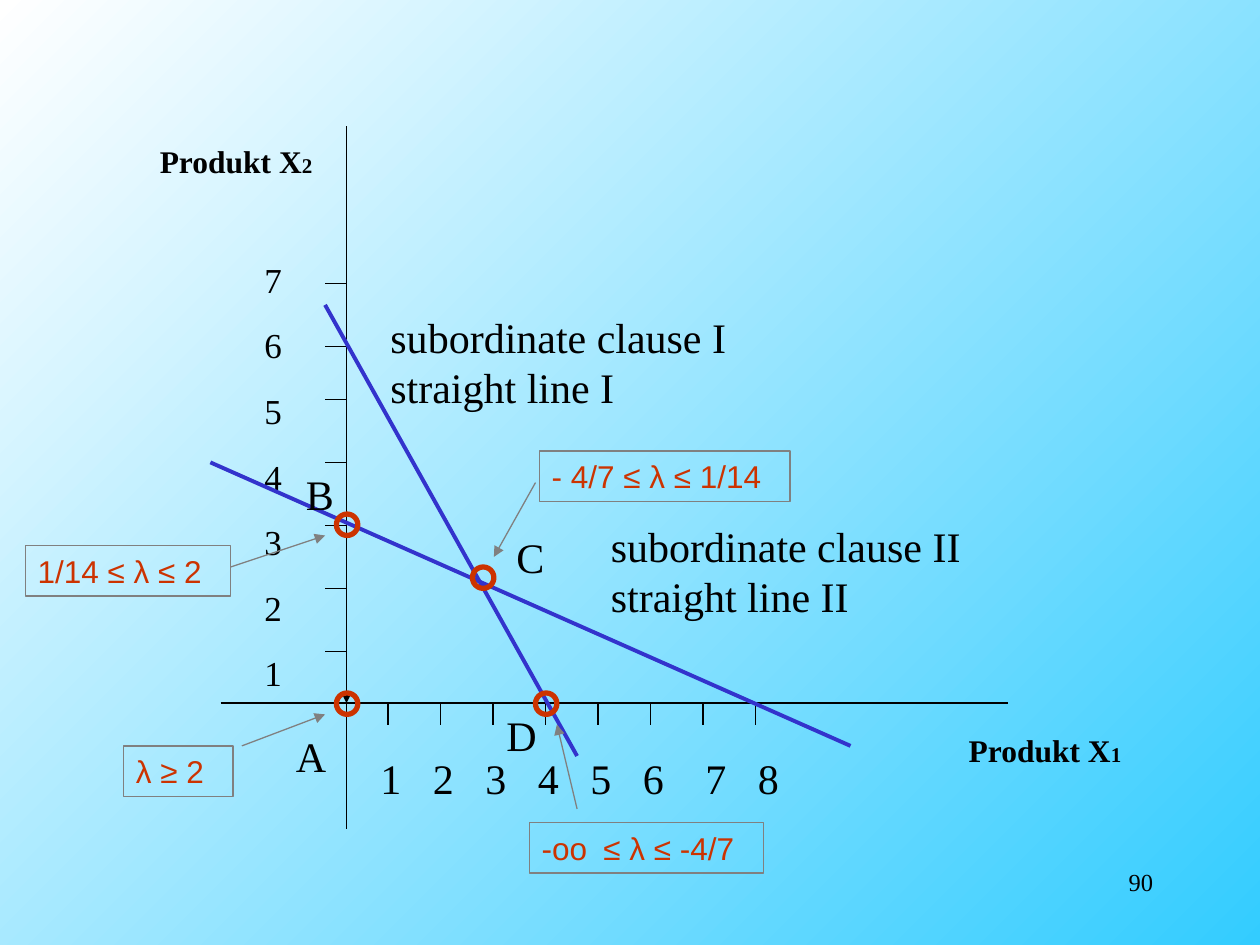
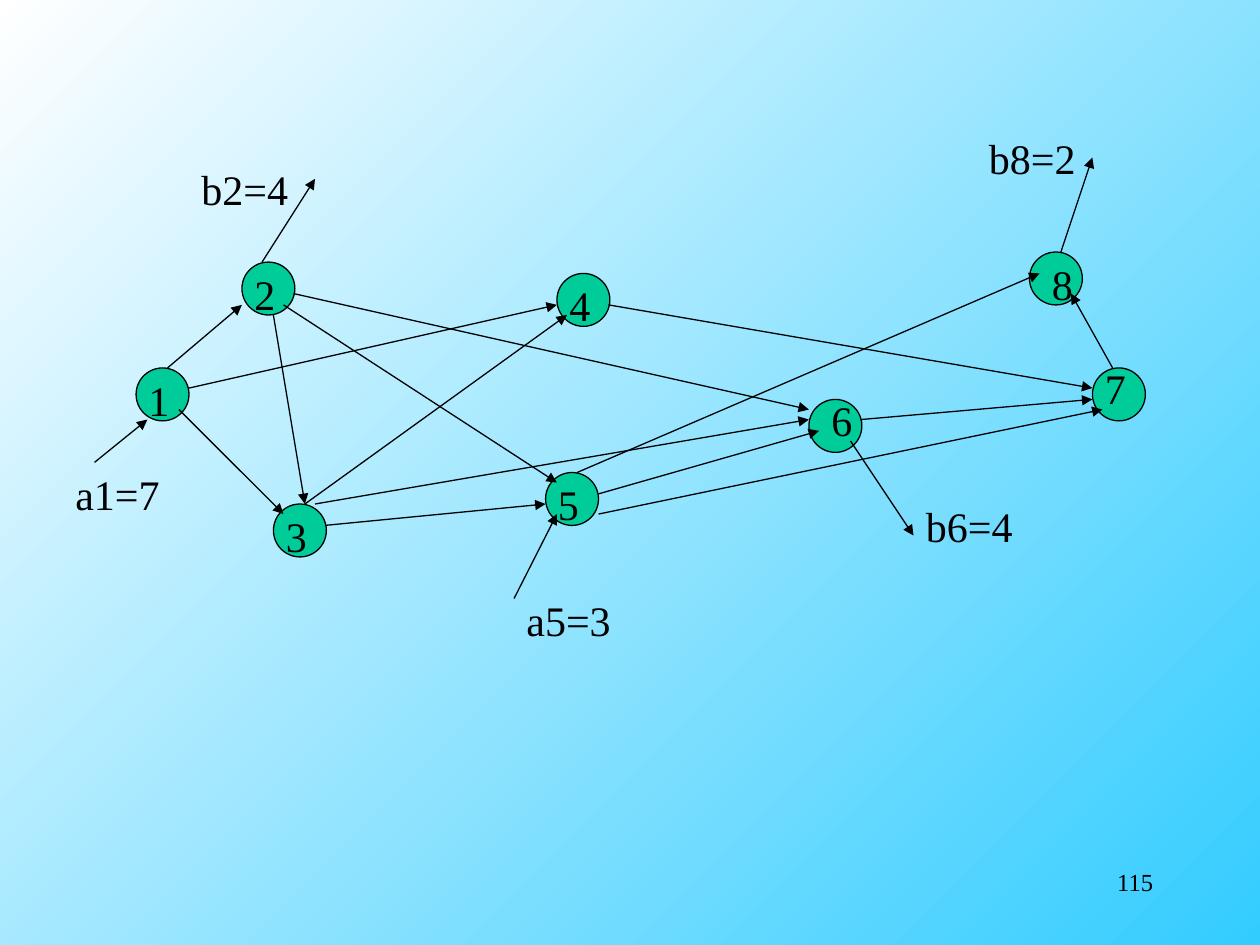
from lxml import etree
from pptx import Presentation
from pptx import util as u
from pptx.dml.color import RGBColor
from pptx.enum import shapes, text
from pptx.oxml import ns

BLACK, GRAY, BLUE, RED, GREEN = "000000", "808080", "3333CC", "CC3300", "00CC99"
SERIF, SANS = "Times New Roman", "Arial"
color = RGBColor.from_string


def add_label(page, words, left, top, width, height=0.5, size=24, face=SERIF,
              ink=BLACK, gap=0, tabs=()):
    """Add a text box with one paragraph per line of words."""
    box = page.shapes.add_textbox(*map(u.Inches, (left, top, width, height)))
    box.text_frame.word_wrap = True
    box.text_frame.text = words
    for index, para in enumerate(box.text_frame.paragraphs):
        if index:
            para.space_before = u.Pt(gap)
        if tabs:
            stops = etree.SubElement(para._p.get_or_add_pPr(), ns.qn("a:tabLst"))
            for stop in tabs:
                etree.SubElement(stops, ns.qn("a:tab"),
                                 pos=str(u.Inches(stop)), algn="l")
        para.font.size = u.Pt(size)
        para.font.name = face
        para.font.color.rgb = color(ink)
    return box


def add_line(page, x1, y1, x2, y2, ink=BLACK, weight=0.75, arrow=False):
    """Add a straight line, with an arrowhead at its end if wanted."""
    line = page.shapes.add_connector(shapes.MSO_CONNECTOR.STRAIGHT,
                                     *map(u.Inches, (x1, y1, x2, y2)))
    line.line.color.rgb = color(ink)
    line.line.width = u.Pt(weight)
    if arrow:
        etree.SubElement(line.line._get_or_add_ln(), ns.qn("a:tailEnd"), type="triangle")
    etree.SubElement(line._element.spPr, ns.qn("a:effectLst"))


# Deck with the shared gradient background
deck = Presentation()
deck.slide_width, deck.slide_height = u.Inches(10), u.Inches(7.5)
backdrop = deck.slide_master.background.fill
backdrop.gradient()
backdrop.gradient_angle = 135
for stop, shade in zip(backdrop.gradient_stops, ("33CCFF", "FFFFFF")):
    stop.color.rgb = color(shade)

# Pages with their numbers
pages = []
for number in ("90", "115"):
    page = deck.slides.add_slide(deck.slide_layouts[6])
    box = add_label(page, number, 7.17, 6.83, 2.08, size=14)
    box.text_frame.paragraphs[0].alignment = text.PP_ALIGN.RIGHT
    pages.append(page)
graph_page, network_page = pages

# Graph: axes from the origin
origin_x, origin_y = 2.75, 5.58
add_line(graph_page, origin_x, 1, origin_x, origin_y, arrow=True)
add_line(graph_page, origin_x, origin_y, origin_x, 6.58)
add_line(graph_page, 1.75, origin_y, 8, origin_y)

# Graph: ticks and their numbers
unit = 5 / 12
for tick_y in (5.17, 4.67, 4.17, 3.67, 3.17, 2.75, 2.25):
    add_line(graph_page, 2.58, tick_y, origin_x, tick_y)
for index in range(8):
    tick_x = 3.08 + index * unit
    add_line(graph_page, tick_x, origin_y, tick_x, 5.75)
add_label(graph_page, "\n".join("7654321"), 2, 2, 0.67, 3.48, size=20, gap=13.5)
number_tabs = [index * unit + (0.08 if index > 5 else 0) for index in range(1, 8)]
add_label(graph_page, "\t".join("12345678"), 2.92, 5.92, 4.17, tabs=number_tabs)

# Graph: the two constraint lines
add_line(graph_page, 6.75, 5.92, 1.67, 3.67, BLUE, 2.25)
add_line(graph_page, 2.58, 2.42, 4.58, 6, BLUE, 2.25)
add_label(graph_page, "subordinate clause I straight line I", 3, 2.42, 3.42, 0.9)
add_label(graph_page, "subordinate clause II straight line II", 4.75, 4.08, 3.17, 0.9)

# Graph: corner points, each a ring and a letter
corners = [
    ("A", 2.67, 5.5, 2.25, 5.75),
    ("B", 2.67, 4.08, 2.33, 3.67),
    ("C", 3.75, 4.5, 4, 4.17),
    ("D", 4.25, 5.5, 3.92, 5.58),
]
for letter, ring_x, ring_y, letter_x, letter_y in corners:
    add_label(graph_page, letter, letter_x, letter_y, 0.5)
    ring = graph_page.shapes.add_shape(
        shapes.MSO_SHAPE.OVAL, *map(u.Inches, (ring_x, ring_y, 0.17, 0.17)))
    ring.shadow.inherit = False
    ring.fill.background()
    ring.line.color.rgb = color(RED)
    ring.line.width = u.Pt(3)

# Graph: framed lambda ranges with pointers to the corners
ranges = [
    ("1/14 ≤ λ ≤ 2", 0.2, 4.33, 1.63, (1.83, 4.5, 2.58, 4.25)),
    ("- 4/7 ≤ λ ≤ 1/14", 4.28, 3.58, 1.99, (4.25, 3.83, 3.92, 4.42)),
    ("λ ≥ 2", 0.98, 5.92, 0.87, (1.92, 5.92, 2.58, 5.67)),
    ("-oo\t≤ λ ≤ -4/7", 4.2, 6.53, 1.86, (4.58, 6.42, 4.42, 5.75)),
]
for words, left, top, width, pointer in ranges:
    frame = add_label(graph_page, words, left, top, width, 0.4, 18, SANS, RED,
                      tabs=[0.49] if "\t" in words else ())
    frame.line.color.rgb = color(GRAY)
    frame.line.width = u.Pt(0.75)
    add_line(graph_page, *pointer, GRAY, arrow=True)

# Graph: axis titles with a small index
for index, left, top in (("1", 7.59, 5.75), ("2", 1.17, 1.08)):
    para = add_label(graph_page, "Produkt X", left, top, 1.5, 0.4, 18).text_frame.paragraphs[0]
    para.font.bold = True
    span = para.add_run()
    span.text = index
    span.font.size = u.Pt(12)

# Network: nodes, with the shift of each number from its circle
nodes = [
    ("1", 1.08, 2.92, 0, 0),
    ("2", 1.92, 2.08, 0, 0),
    ("3", 2.17, 4, 0, 0),
    ("4", 4.42, 2.17, 0, 0),
    ("5", 4.33, 3.75, 0, 0),
    ("6", 6.42, 3.17, 0.08, -0.09),
    ("7", 8.67, 2.92, 0, -0.09),
    ("8", 8.17, 2, 0.08, 0),
]
for name, left, top, shift_x, shift_y in nodes:
    node = network_page.shapes.add_shape(
        shapes.MSO_SHAPE.OVAL, *map(u.Inches, (left, top, 0.42, 0.42)))
    node.shadow.inherit = False
    node.fill.solid()
    node.fill.fore_color.rgb = color(GREEN)
    node.line.color.rgb = color(BLACK)
    node.line.width = u.Pt(0.75)
    add_label(network_page, name, left + shift_x, top + shift_y, 0.42)

# Network: arrows between the nodes
edges = [
    (1.33, 2.92, 1.92, 2.42),  # 1 to 2
    (1.42, 3.25, 2.25, 4.08),  # 1 to 3
    (1.5, 3.08, 4.42, 2.42),   # 1 to 4
    (2.17, 2.5, 2.42, 4),      # 2 to 3
    (2.25, 2.42, 4.42, 3.83),  # 2 to 5
    (2.33, 2.33, 6.42, 3.25),  # 2 to 6
    (2.42, 4, 4.5, 2.5),       # 3 to 4
    (2.58, 4.17, 4.33, 4),     # 3 to 5
    (2.5, 4, 6.42, 3.33),      # 3 to 6
    (4.83, 2.42, 8.67, 3.08),  # 4 to 7
    (4.75, 3.92, 6.5, 3.42),   # 5 to 6
    (4.75, 4.08, 8.75, 3.25),  # 5 to 7
    (4.58, 3.75, 8.25, 2.17),  # 5 to 8
    (6.83, 3.33, 8.67, 3.17),  # 6 to 7
    (8.83, 2.92, 8.5, 2.33),   # 7 to 8
]
for edge in edges:
    add_line(network_page, *edge, arrow=True)

# Network: supplies (a) and demands (b)
flows = [
    ("a1=7", 0.5, 3.67, (0.75, 3.67, 1.17, 3.33)),
    ("a5=3", 4.08, 4.67, (4.08, 4.75, 4.42, 4.08)),
    ("b2=4", 1.5, 1.25, (2.08, 2.08, 2.5, 1.42)),
    ("b6=4", 7.25, 3.92, (6.75, 3.5, 7.25, 4.25)),
    ("b8=2", 7.75, 1, (8.42, 2, 8.67, 1.25)),
]
for words, left, top, arrow in flows:
    add_line(network_page, *arrow, arrow=True)
    add_label(network_page, words, left, top, 1.2)

deck.save("out.pptx")
